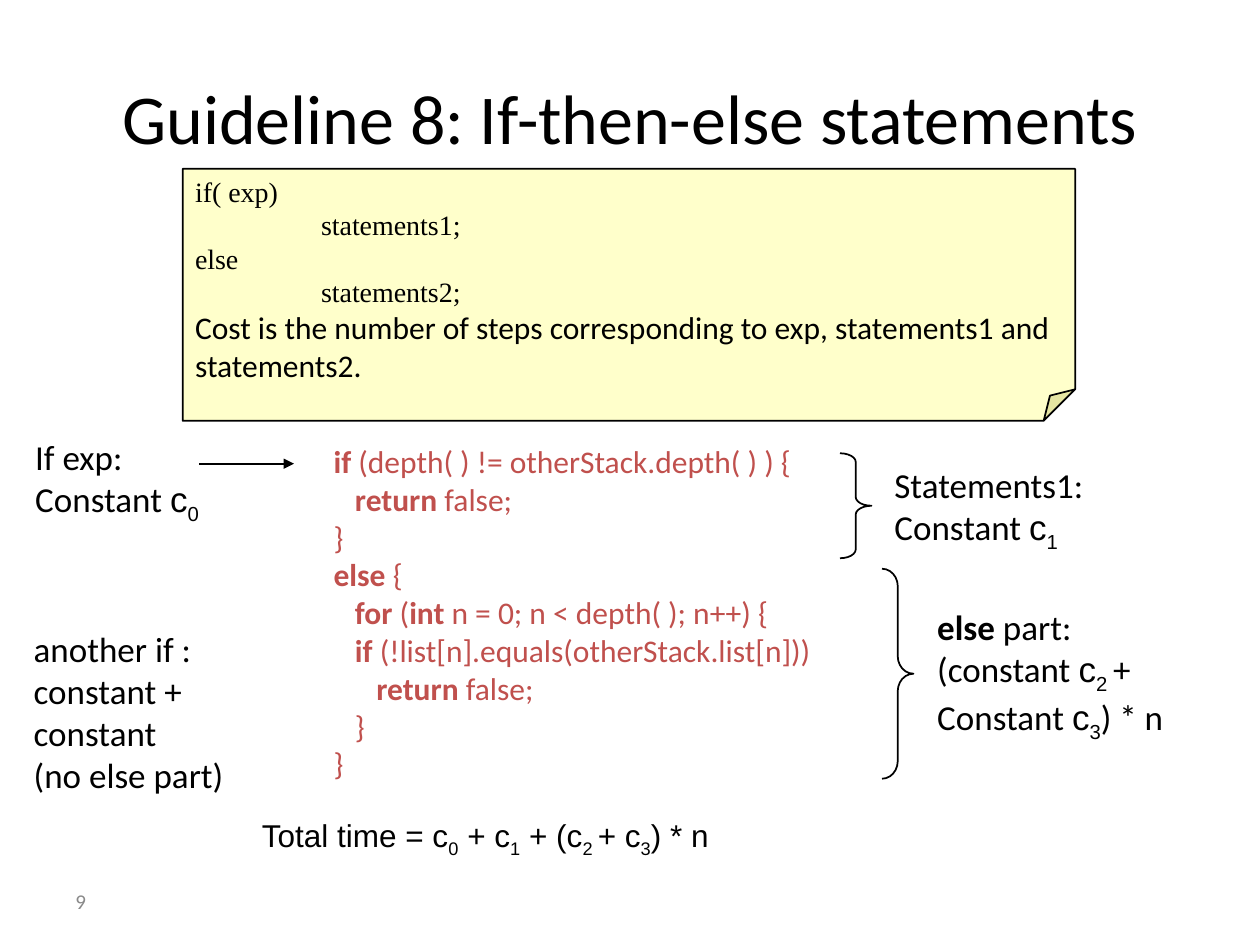
"""Build the slide on the cost of if-then-else statements."""
from dataclasses import dataclass

import lxml.etree
import pptx
import pptx.dml.color
import pptx.enum.shapes
import pptx.enum.text
import pptx.oxml.ns
import pptx.util

Pt = pptx.util.Pt
Anchor = pptx.enum.text.MSO_ANCHOR
Shape = pptx.enum.shapes.MSO_SHAPE
BLACK = "000000"
INDENT = 12.2


@dataclass
class Span:
    text: str
    bold: bool = False
    font: str = "Calibri"
    size: float = 0
    subscript: bool = False


@dataclass
class Line:
    spans: list[Span]
    indent: float = 0


@dataclass
class Label:
    left: float
    top: float
    width: float
    height: float
    lines: list[Line]
    size: float = 20
    color: str = BLACK
    wrap: bool = False


@dataclass
class Brace:
    left: float
    top: float
    height: float


def rgb(color: str) -> pptx.dml.color.RGBColor:
    return pptx.dml.color.RGBColor.from_string(color)


def line(text: str, indent: float = 0, **style) -> Line:
    return Line([Span(text, **style)], indent)


def code(level: int, *parts: str) -> Line:
    spans = [Span(part, bold=index % 2 == 0) for index, part in enumerate(parts) if part]
    return Line(spans, level * INDENT)


def constant(index: str) -> list[Span]:
    return [Span("c", font="Arial"), Span(index, font="Arial", subscript=True)]


def write(frame, lines: list[Line], size: float, color: str) -> None:
    for index, content in enumerate(lines):
        para = frame.paragraphs[0] if index == 0 else frame.add_paragraph()
        para.alignment = pptx.enum.text.PP_ALIGN.LEFT
        if content.indent:
            para._p.get_or_add_pPr().set("marL", str(Pt(content.indent)))
        for span in content.spans:
            run = para.add_run()
            run.text = span.text
            run.font.name = span.font
            run.font.size = Pt(span.size or size)
            run.font.bold = span.bold
            run.font.color.rgb = rgb(color)
            if span.subscript:
                run._r.get_or_add_rPr().set("baseline", "-25000")


def add_label(page, label: Label):
    box = page.shapes.add_textbox(Pt(label.left), Pt(label.top), Pt(label.width), Pt(label.height))
    box.text_frame.word_wrap = label.wrap
    box.text_frame.auto_size = pptx.enum.text.MSO_AUTO_SIZE.SHAPE_TO_FIT_TEXT
    write(box.text_frame, label.lines, label.size, label.color)
    return box


def add_outlined(page, kind, left: float, top: float, width: float, height: float):
    shape = page.shapes.add_shape(kind, Pt(left), Pt(top), Pt(width), Pt(height))
    shape.shadow.inherit = False
    shape.line.color.rgb = rgb(BLACK)
    shape.line.width = Pt(1)
    return shape


def add_note(page, lines: list[Line]) -> None:
    note = add_outlined(page, Shape.FOLDED_CORNER, 104.4, 96.5, 510, 144)
    guides = note._element.spPr.find(".//" + pptx.oxml.ns.qn("a:avLst"))
    lxml.etree.SubElement(guides, pptx.oxml.ns.qn("a:gd"), name="adj", fmla="val 12500")
    note.fill.solid()
    note.fill.fore_color.rgb = rgb("FFFF99")
    tint = note._element.spPr.find(".//" + pptx.oxml.ns.qn("a:srgbClr"))
    lxml.etree.SubElement(tint, pptx.oxml.ns.qn("a:alpha"), val="50000")
    note.text_frame.word_wrap = True
    note.text_frame.vertical_anchor = Anchor.MIDDLE
    write(note.text_frame, lines, 16, BLACK)


def add_brace(page, brace: Brace) -> None:
    width = 18
    shape = add_outlined(page, Shape.RIGHT_BRACE, brace.left, brace.top, width, brace.height)
    shape.adjustments[0] = brace.height / width / 12
    shape.adjustments[1] = 0.5
    shape.fill.background()


def add_arrow(page, left: float, right: float, level: float) -> None:
    arrow = page.shapes.add_connector(
        pptx.enum.shapes.MSO_CONNECTOR.STRAIGHT, Pt(left), Pt(level), Pt(right), Pt(level))
    arrow.line.color.rgb = rgb(BLACK)
    arrow.line.width = Pt(1)
    outline = arrow.line._get_or_add_ln()
    lxml.etree.SubElement(outline, pptx.oxml.ns.qn("a:tailEnd"), type="triangle", w="med", len="med")
    lxml.etree.SubElement(arrow._element.spPr, pptx.oxml.ns.qn("a:effectLst"))


NOTE = [
    line("if( exp)", font="Times New Roman"),
    line("statements1;", 72, font="Times New Roman"),
    line("else", font="Times New Roman"),
    line("statements2;", 72, font="Times New Roman"),
    line("Cost is the number of steps corresponding to exp, statements1 and statements2.", size=18),
]
CODE = [
    code(0, "if", " (depth( ) != otherStack.depth( ) ) {"),
    code(1, "return", " false;"),
    code(0, "", "}"),
    code(0, "else", " {"),
    code(1, "for", " (", "int", " n = 0; n < depth( ); n++) {"),
    code(1, "if", " (!list[n].equals(otherStack.list[n]))"),
    code(2, "return", " false;"),
    code(1, "", "}"),
    code(0, "", "}"),
]
ELSE_PART = [
    Line([Span("else", bold=True), Span(" part:")]),
    Line([Span("(constant "), *constant("2 "), Span("+")]),
    Line([Span("Constant "), *constant("3"), Span(") * n")]),
]
ANOTHER_IF = [line("another if :"), line("constant + constant"), line("(no else part)")]
TOTAL = [Line([
    Span("Total time = ", font="Arial"), *constant("0"),
    Span(" + ", font="Arial"), *constant("1"),
    Span(" + (", font="Arial"), *constant("2 "),
    Span("+ ", font="Arial"), *constant("3"),
    Span(") * n", font="Arial"),
])]
LABELS = [
    Label(183.6, 249.1, 288, 201.6, CODE, size=18, color="C0504D"),
    Label(504, 261.4, 123.1, 59, [line("Statements1:"), Line([Span("Constant "), *constant("1")])]),
    Label(528.5, 342.7, 144, 85.7, ELSE_PART),
    Label(13, 245.5, 108.7, 59, [line("If exp:"), Line([Span("Constant "), *constant("0")])]),
    Label(12.2, 355, 168.5, 103.7, ANOTHER_IF, wrap=True),
    Label(142.6, 463, 271.4, 31.7, TOTAL, size=18),
]
BRACES = [Brace(480, 259, 60), Brace(504, 325, 120)]


def main() -> None:
    deck = pptx.Presentation()
    deck.slide_width, deck.slide_height = Pt(720), Pt(540)
    page = deck.slides.add_slide(deck.slide_layouts[5])

    title = page.shapes.title
    title.left, title.top, title.width, title.height = Pt(36), Pt(21.6), Pt(648), Pt(90)
    title.text_frame.vertical_anchor = Anchor.MIDDLE
    write(title.text_frame, [line("Guideline 8: If-then-else statements")], 40, BLACK)
    title.text_frame.paragraphs[0].alignment = pptx.enum.text.PP_ALIGN.CENTER

    add_note(page, NOTE)
    for label in LABELS:
        add_label(page, label)
    for brace in BRACES:
        add_brace(page, brace)
    add_arrow(page, 114, 168, 265)
    number = add_label(page, Label(36, 500.5, 168, 28.8, [line("9")], 12, "898989", True))
    number.text_frame.auto_size = pptx.enum.text.MSO_AUTO_SIZE.NONE
    number.text_frame.vertical_anchor = Anchor.MIDDLE
    deck.save("out.pptx")


if __name__ == "__main__":
    main()
